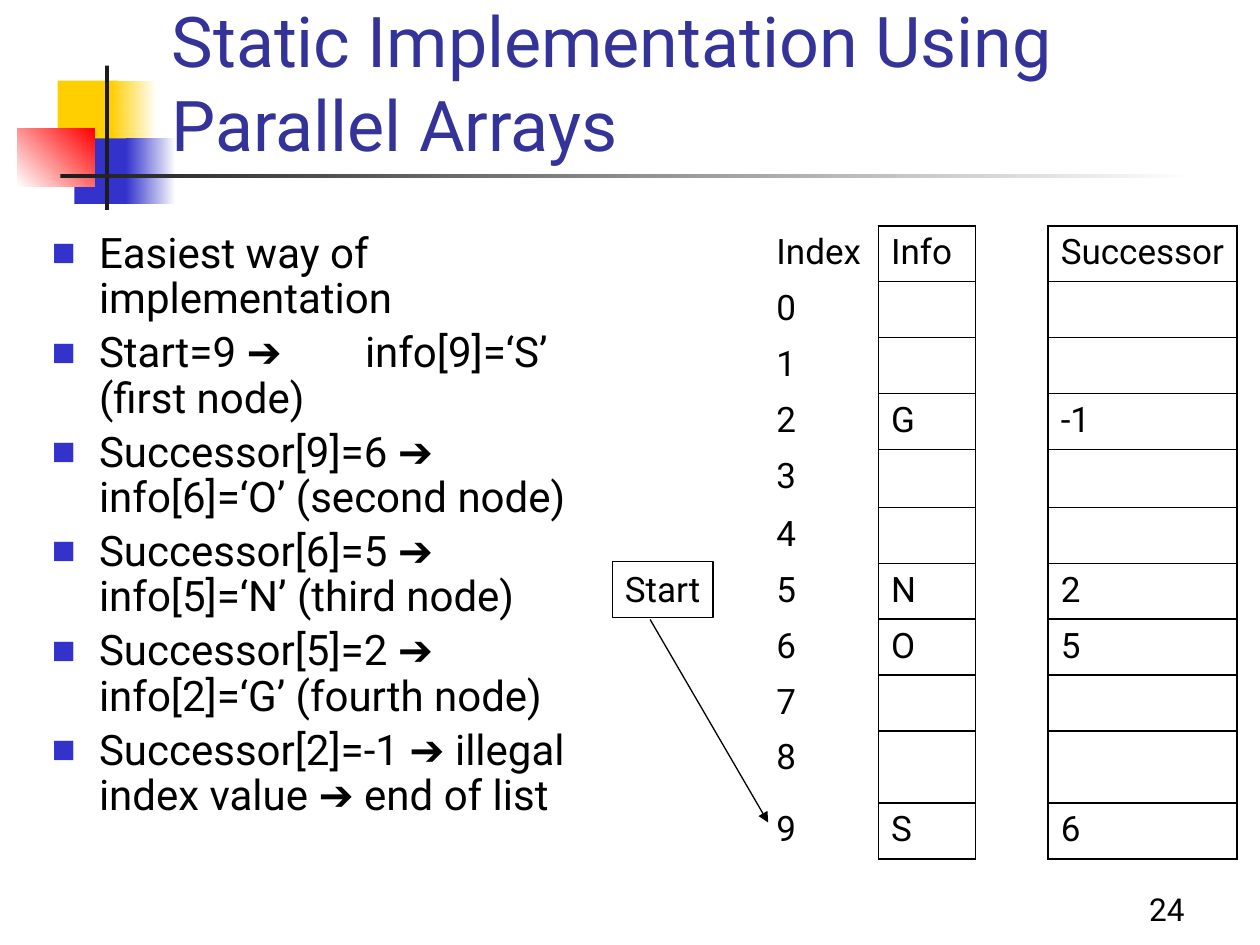
from lxml import etree
from pptx import Presentation
from pptx import util as u
from pptx.dml import color
from pptx.enum import shapes, text
from pptx.oxml import ns

Pt = u.Pt
FONT = "Roboto"
COLORS = {
    "black": "000000", "white": "FFFFFF", "ink": "1C1C1C", "title": "333399",
    "blue": "3333CC", "yellow": "FFCF01", "red": "FF0000",
}
# left, top, width, height, colours, gradient angle
DECORATION = [
    (33, 46, 34.5, 37.5, ["yellow"], 0),
    (63.5, 46, 26, 37.5, ["yellow", "white"], 0),
    (42.5, 79, 33, 37.5, ["blue"], 0),
    (72, 79, 28.5, 37.5, ["blue", "white"], 0),
    (10, 73.5, 44, 33, ["white", "red"], 45),
    (60, 37.5, 2.25, 82.5, ["ink"], 0),
    (34.5, 99.5, 648, 2.5, ["ink", "white"], 0),
]
STEPS = [
    "Easiest way of implementation",
    "Start=9 ➔\tinfo[9]=‘S’ (first node)",
    "Successor[9]=6 ➔ info[6]=‘O’ (second node)",
    "Successor[6]=5 ➔ info[5]=‘N’ (third node)",
    "Successor[5]=2 ➔ info[2]=‘G’ (fourth node)",
    "Successor[2]=-1 ➔ illegal index value ➔ end of list",
]
HEADINGS = ["Index", "Info", "", "Successor"]
NODES = {2: ("G", "-1"), 5: ("N", "2"), 6: ("O", "5"), 9: ("S", "6")}
INDEX_COUNT = 10
COLUMN_WIDTHS = [65.5, 55.5, 41.5, 108]
ROW_HEIGHT = 32
TALL_ROWS = {4: 33, 9: 41}
BORDERED_COLUMNS = {1, 3}


def rgb(name):
    return color.RGBColor.from_string(COLORS[name])


def add_element(parent, tag, **attributes):
    return etree.SubElement(parent, ns.qn(tag), attributes)


def add_run(paragraph, words, size, ink="black"):
    run = paragraph.add_run()
    run.text = words
    run.font.name = FONT
    run.font.size = Pt(size)
    run.font.color.rgb = rgb(ink)


def add_block(slide, left, top, width, height, fills, angle):
    block = slide.shapes.add_shape(
        shapes.MSO_SHAPE.RECTANGLE, Pt(left), Pt(top), Pt(width), Pt(height))
    block.shadow.inherit = False
    block.line.fill.background()
    if len(fills) == 1:
        block.fill.solid()
        block.fill.fore_color.rgb = rgb(fills[0])
        return
    block.fill.gradient()
    block.fill.gradient_angle = angle
    for stop, fill in zip(block.fill.gradient_stops, fills):
        stop.color.rgb = rgb(fill)


def add_text_box(slide, left, top, width, height, anchor=text.MSO_ANCHOR.TOP):
    box = slide.shapes.add_textbox(Pt(left), Pt(top), Pt(width), Pt(height))
    box.text_frame.word_wrap = True
    box.text_frame.vertical_anchor = anchor
    return box


def add_bullet(paragraph):
    """Give the paragraph a hanging square bullet and one tab stop."""
    properties = paragraph._p.get_or_add_pPr()
    properties.set("marL", str(Pt(27)))
    properties.set("indent", str(Pt(-27)))
    bullet_color = add_element(properties, "a:buClr")
    add_element(bullet_color, "a:srgbClr", val=COLORS["blue"])
    add_element(properties, "a:buSzPct", val="60000")
    add_element(properties, "a:buFont", typeface=FONT)
    add_element(properties, "a:buChar", char="■")
    tabs = add_element(properties, "a:tabLst")
    add_element(tabs, "a:tab", pos=str(Pt(179)), algn="l")


def add_steps(slide):
    frame = add_text_box(slide, 22.5, 129, 323, 353.5).text_frame
    for number, step in enumerate(STEPS):
        paragraph = frame.add_paragraph() if number else frame.paragraphs[0]
        paragraph.line_spacing = 0.9
        paragraph.space_before = Pt(5)
        add_bullet(paragraph)
        add_run(paragraph, step, 24)


def set_borders(cell, sides):
    """Draw the named sides (of L, R, T, B) and clear the others."""
    properties = cell._tc.get_or_add_tcPr()
    for side in "LRTB":
        border = add_element(properties, f"a:ln{side}", w=str(Pt(1)))
        if side in sides:
            fill = add_element(border, "a:solidFill")
            add_element(fill, "a:srgbClr", val=COLORS["black"])
        else:
            add_element(border, "a:noFill")


def add_arrays(slide):
    rows = [HEADINGS]
    for index in range(INDEX_COUNT):
        info, successor = NODES.get(index, ("", ""))
        rows.append([str(index), info, "", successor])
    heights = [TALL_ROWS.get(row, ROW_HEIGHT) for row in range(len(rows))]
    table = slide.shapes.add_table(
        len(rows), len(HEADINGS), Pt(436.5), Pt(129),
        Pt(sum(COLUMN_WIDTHS)), Pt(sum(heights))).table
    table.first_row = table.horz_banding = False
    for column, width in zip(table.columns, COLUMN_WIDTHS):
        column.width = Pt(width)
    for row, height in zip(table.rows, heights):
        row.height = Pt(height)
    for row, values in enumerate(rows):
        for column, value in enumerate(values):
            cell = table.cell(row, column)
            outer_sides = "R" if column == 0 else "LR"
            set_borders(cell, "LRTB" if column in BORDERED_COLUMNS else outer_sides)
            cell.fill.background()
            if value:
                paragraph = cell.text_frame.paragraphs[0]
                paragraph.space_before = Pt(4)
                add_run(paragraph, value, 20)


def add_start_pointer(slide):
    start = add_text_box(slide, 350, 321, 57.5, 32)
    start.line.color.rgb = rgb("black")
    start.line.width = Pt(0.75)
    start.text_frame.word_wrap = False
    start.text_frame.auto_size = text.MSO_AUTO_SIZE.SHAPE_TO_FIT_TEXT
    add_run(start.text_frame.paragraphs[0], "Start", 20)

    arrow = slide.shapes.add_connector(
        shapes.MSO_CONNECTOR.STRAIGHT, Pt(371.5), Pt(354), Pt(439), Pt(470))
    arrow.line.color.rgb = rgb("black")
    arrow.line.width = Pt(0.75)
    add_element(arrow.line._get_or_add_ln(), "a:tailEnd", type="triangle")
    add_element(arrow._element.spPr, "a:effectLst")


def main():
    deck = Presentation()
    deck.slide_width, deck.slide_height = Pt(720), Pt(540)
    slide = deck.slides.add_slide(deck.slide_layouts[6])
    for block in DECORATION:
        add_block(slide, *block)

    page = add_text_box(slide, 534, 498, 150, 36, text.MSO_ANCHOR.BOTTOM)
    page_number = page.text_frame.paragraphs[0]
    page_number.alignment = text.PP_ALIGN.RIGHT
    add_run(page_number, "24", 18)

    title = add_text_box(slide, 91, 8, 613.5, 90, text.MSO_ANCHOR.BOTTOM)
    add_run(title.text_frame.paragraphs[0],
            "Static Implementation Using Parallel Arrays", 40, "title")

    add_steps(slide)
    add_arrays(slide)
    add_start_pointer(slide)
    deck.save("out.pptx")


if __name__ == "__main__":
    main()
